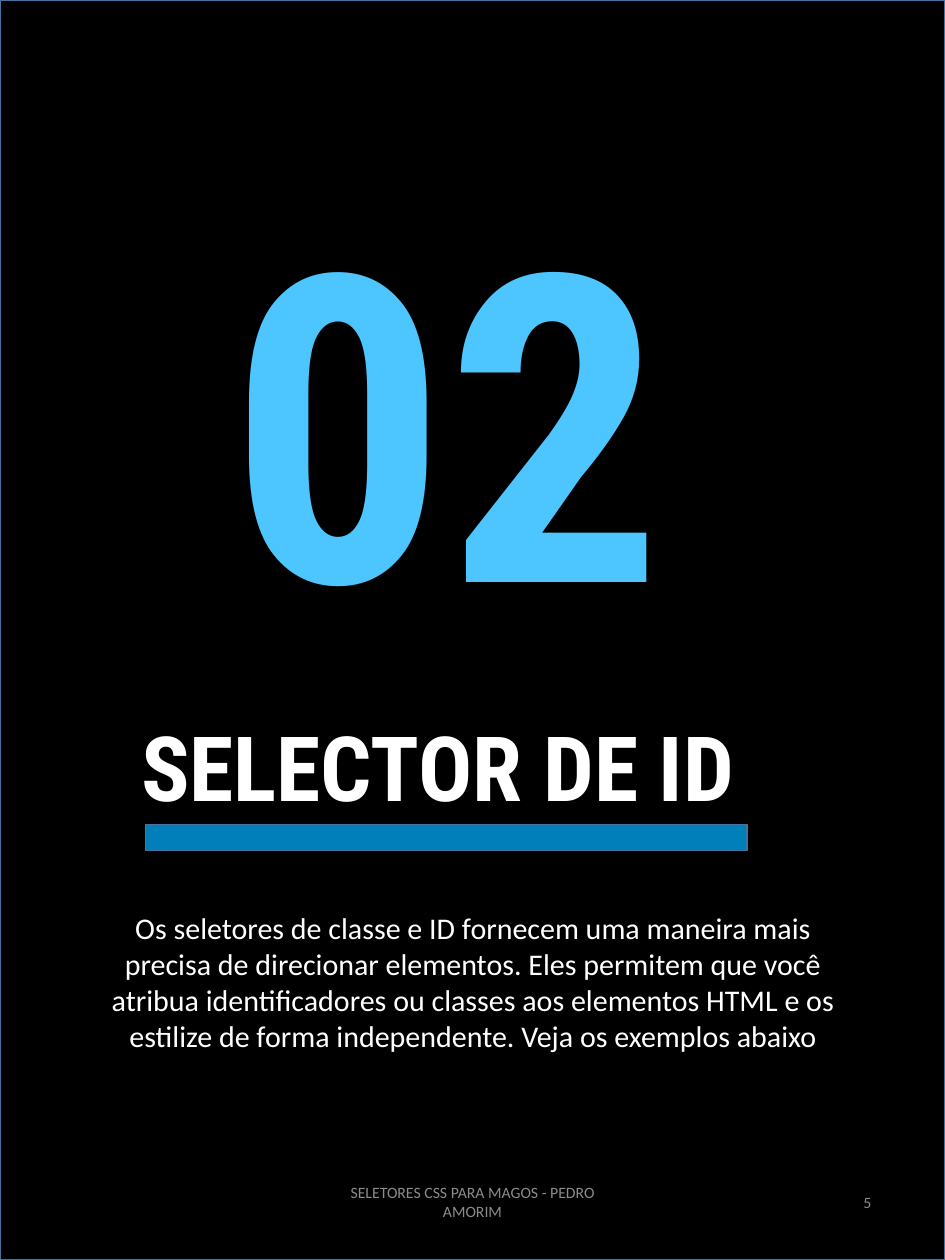
from pptx import Presentation
from pptx.dml.color import RGBColor
from pptx.enum.shapes import MSO_SHAPE
from pptx.enum.text import MSO_ANCHOR, MSO_AUTO_SIZE, PP_ALIGN
from pptx.util import Inches, Pt

BLACK = RGBColor(0x00, 0x00, 0x00)
WHITE = RGBColor(0xFF, 0xFF, 0xFF)
GRAY = RGBColor(0x8C, 0x8C, 0x8C)
SKY = RGBColor(0x4D, 0xC6, 0xFF)
BLUE = RGBColor(0x00, 0x7F, 0xBB)
EDGE = RGBColor(0x43, 0x73, 0x9E)

prs = Presentation()
prs.slide_width, prs.slide_height = Inches(10.5), Inches(14)
slide = prs.slides.add_slide(prs.slide_layouts.get_by_name("Title Only"))
shapes = slide.shapes


def add_panel(left, top, width, height, fill, line, weight=1):
    panel = shapes.add_shape(MSO_SHAPE.RECTANGLE, Inches(left), Inches(top),
                             Inches(width), Inches(height))
    panel.shadow.inherit = False
    panel.fill.solid()
    panel.fill.fore_color.rgb = fill
    panel.line.color.rgb = line
    panel.line.width = Pt(weight)
    return panel


def write(shape, text, size, color, font="Calibri", bold=False,
          align=PP_ALIGN.CENTER, anchor=MSO_ANCHOR.TOP,
          fit=MSO_AUTO_SIZE.SHAPE_TO_FIT_TEXT):
    frame = shape.text_frame
    frame.word_wrap = True
    frame.auto_size = fit
    frame.vertical_anchor = anchor
    paragraph = frame.paragraphs[0]
    paragraph.alignment = align
    run = paragraph.add_run()
    run.text = text
    run.font.name = font
    run.font.size = Pt(size)
    run.font.bold = bold
    run.font.color.rgb = color


# Black page, with the title placed in front of it
page = add_panel(0, 0, 10.5, 14, BLACK, EDGE)
title = shapes.title
page.element.addnext(title.element)
title.left, title.top = Inches(-0.43), Inches(7.85)
title.width, title.height = Inches(10.59), Inches(1.31)
write(title, "SELECTOR DE ID", 72, WHITE, font="Roboto Condensed", bold=True)

# Chapter number and the bar under the title
chapter_number = add_panel(0.29, 1.64, 9.35, 5.89, BLACK, BLACK, weight=0.75)
write(chapter_number, "02", 344, SKY, font="Roboto Condensed", bold=True)
add_panel(1.62, 9.16, 6.68, 0.29, BLUE, EDGE)

# Page number and footer
footer_top, footer_height = Inches(12.98), Inches(0.75)
for left, width, text, align in (
    (7.42, 2.36, "5", PP_ALIGN.RIGHT),
    (3.48, 3.54, "SELETORES CSS PARA MAGOS - PEDRO AMORIM", PP_ALIGN.CENTER),
):
    footer = shapes.add_textbox(Inches(left), footer_top, Inches(width), footer_height)
    write(footer, text, 12.6, GRAY, align=align, anchor=MSO_ANCHOR.MIDDLE,
          fit=MSO_AUTO_SIZE.NONE)

# Chapter introduction
introduction = shapes.add_textbox(Inches(0.98), Inches(10.06), Inches(8.55), Inches(1.72))
write(introduction,
      "Os seletores de classe e ID fornecem uma maneira mais precisa de direcionar "
      "elementos. Eles permitem que você atribua identificadores ou classes aos "
      "elementos HTML e os estilize de forma independente. Veja os exemplos abaixo",
      24, WHITE)

prs.save("out.pptx")
